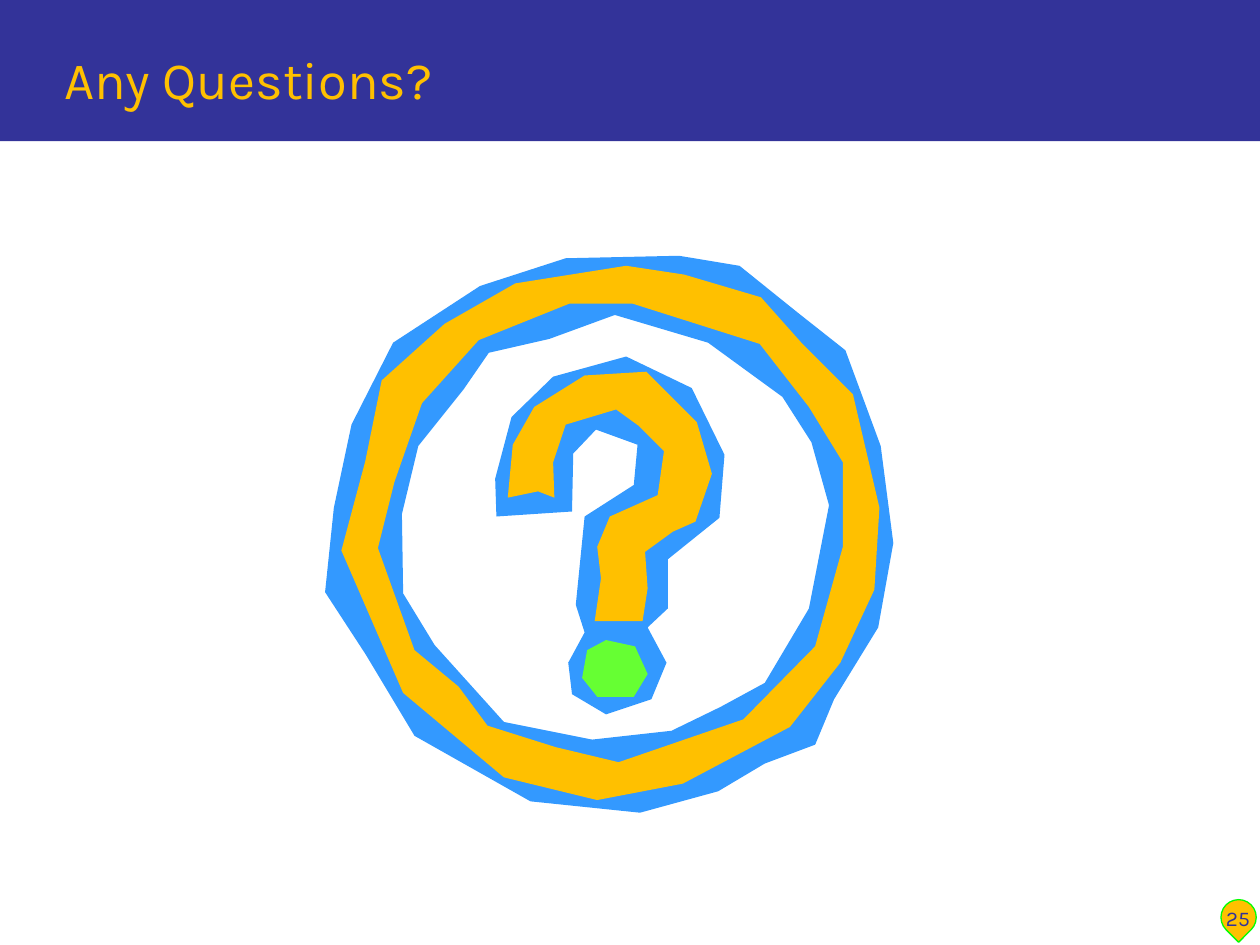
from pptx import Presentation
from pptx.dml.color import RGBColor
from pptx.enum.shapes import MSO_SHAPE
from pptx.enum.text import MSO_ANCHOR, PP_ALIGN
from pptx.util import Inches, Pt

NAVY = RGBColor(0x33, 0x33, 0x99)
GOLD = RGBColor(0xFF, 0xC0, 0x00)
BLUE = RGBColor(0x33, 0x99, 0xFF)
LIME = RGBColor(0x66, 0xFF, 0x33)
GREEN = RGBColor(0x00, 0xFF, 0x00)
FONT = "Karla"

# Outlines in inches, relative to the top left of the emblem
HOOK_EDGE = [
    (1.97, 1.57), (2.15, 1.38), (2.48, 1.5), (2.45, 1.82), (2.06, 2.07),
    (1.99, 2.77), (2.06, 2.99), (1.93, 3.23), (1.96, 3.48), (2.23, 3.64),
    (2.59, 3.52), (2.71, 3.23), (2.56, 2.95), (2.72, 2.8), (2.72, 2.41),
    (3.13, 2.08), (3.17, 1.58), (2.91, 1.05), (2.39, 0.8), (1.81, 0.96),
    (1.48, 1.28), (1.35, 1.77), (1.36, 2.07), (1.96, 2.03)]
HOOK = [
    (1.45, 1.92), (1.69, 1.87), (1.82, 1.92), (1.81, 1.64), (1.91, 1.34),
    (2.31, 1.22), (2.49, 1.35), (2.69, 1.55), (2.64, 1.9), (2.26, 2.07),
    (2.16, 2.31), (2.19, 2.56), (2.14, 2.9), (2.52, 2.9), (2.56, 2.64),
    (2.54, 2.35), (2.76, 2.19), (2.94, 2.11), (3.07, 1.73), (2.95, 1.32),
    (2.55, 0.92), (2.06, 0.95), (1.66, 1.2), (1.49, 1.5)]
DOT = [(2.23, 3.05), (2.08, 3.13), (2.04, 3.35), (2.16, 3.5),
       (2.45, 3.5), (2.56, 3.32), (2.46, 3.1)]
RING_EDGE_OUTER = [
    (2.81, 0), (1.91, 0.02), (1.23, 0.24), (0.54, 0.69), (0.21, 1.34),
    (0.07, 2), (0, 2.67), (0.32, 3.16), (0.71, 3.81), (1.63, 4.33),
    (2.5, 4.42), (3.12, 4.25), (3.49, 4.03), (3.89, 3.88), (4.04, 3.52),
    (4.39, 2.95), (4.51, 2.28), (4.41, 1.51), (4.13, 0.75), (3.75, 0.45),
    (3.29, 0.08)]
RING_EDGE_INNER = [
    (3.04, 0.69), (3.63, 1.12), (3.86, 1.48), (4, 1.98), (3.84, 2.8),
    (3.49, 3.39), (3.14, 3.58), (2.75, 3.77), (2.12, 3.84), (1.42, 3.7),
    (0.87, 3.09), (0.62, 2.68), (0.61, 2.05), (0.74, 1.51), (1.1, 1.06),
    (1.3, 0.77), (1.78, 0.66), (2.3, 0.47)]
RING_OUTER = [
    (2.39, 0.08), (2.85, 0.15), (3.46, 0.33), (3.78, 0.69), (4.19, 1.1),
    (4.4, 2), (4.36, 2.65), (4.09, 3.23), (3.69, 3.74), (2.84, 4.19),
    (2.16, 4.32), (1.42, 4.14), (0.62, 3.47), (0.13, 2.34), (0.32, 1.63),
    (0.45, 0.99), (0.95, 0.54), (1.51, 0.22)]
RING_INNER = [
    (2.44, 0.38), (1.94, 0.38), (1.22, 0.67), (0.77, 1.17), (0.55, 1.8),
    (0.42, 2.32), (0.71, 3.13), (1.06, 3.42), (1.29, 3.73), (1.83, 3.9),
    (2.33, 4.02), (3.32, 3.68), (3.89, 3.1), (4.11, 2.31), (4.11, 1.64),
    (3.84, 1.2), (3.45, 0.7)]


def paint(shape, fill, line=None):
    shape.shadow.inherit = False
    shape.fill.solid()
    shape.fill.fore_color.rgb = fill
    if line is None:
        shape.line.fill.background()
    else:
        shape.line.color.rgb = line
        shape.line.width = Pt(0.75)


def add_text(page, text, left, top, width, height, *, size, color,
             align=PP_ALIGN.LEFT):
    box = page.shapes.add_textbox(Inches(left), Inches(top),
                                  Inches(width), Inches(height))
    frame = box.text_frame
    frame.word_wrap = True
    frame.vertical_anchor = MSO_ANCHOR.BOTTOM
    para = frame.paragraphs[0]
    para.alignment = align
    span = para.add_run()
    span.text = text
    span.font.name = FONT
    span.font.size = Pt(size)
    span.font.color.rgb = color


def add_outline(group, left, top, contours, fill):
    """Draw one filled shape; a second contour cuts a hole in the first."""
    placed = [[(Inches(left + x), Inches(top + y)) for x, y in contour]
              for contour in contours]
    builder = group.shapes.build_freeform(*placed[0][0], scale=1.0)
    for index, points in enumerate(placed):
        if index:
            builder.move_to(*points[0])
        builder.add_line_segments(points[1:], close=True)
    paint(builder.convert_to_shape(), fill)


def add_header(page, left, top, width, height):
    band = page.shapes.add_shape(MSO_SHAPE.RECTANGLE, Inches(left), Inches(top),
                                 Inches(width), Inches(height))
    paint(band, NAVY)
    add_text(page, "Any Questions?", left + 0.41, top + 0.16, width - 0.65, 0.76,
             size=30, color=GOLD)


def add_page_number(page, left, top, width, height):
    side = 0.28
    drop = page.shapes.add_shape(MSO_SHAPE.TEAR, Inches(left + 0.15),
                                 Inches(top + 0.2), Inches(side), Inches(side))
    drop.rotation = 134.9
    paint(drop, GOLD, line=GREEN)
    add_text(page, "25", left, top, width, height, size=12, color=NAVY,
             align=PP_ALIGN.CENTER)


def add_emblem(page, left, top):
    group = page.shapes.add_group_shape()
    for contours, fill in [
        ([HOOK_EDGE], BLUE),
        ([HOOK], GOLD),
        ([DOT], LIME),
        ([RING_EDGE_OUTER, RING_EDGE_INNER], BLUE),
        ([RING_OUTER, RING_INNER], GOLD),
    ]:
        add_outline(group, left, top, contours, fill)


def main():
    deck = Presentation()
    deck.slide_width, deck.slide_height = Inches(10), Inches(7.5)
    page = deck.slides.add_slide(deck.slide_layouts[6])
    add_header(page, 0, 0, 10, 1.12)
    add_page_number(page, 9.54, 6.94, 0.57, 0.5)
    add_emblem(page, 2.58, 2.03)
    deck.save("out.pptx")


if __name__ == "__main__":
    main()
